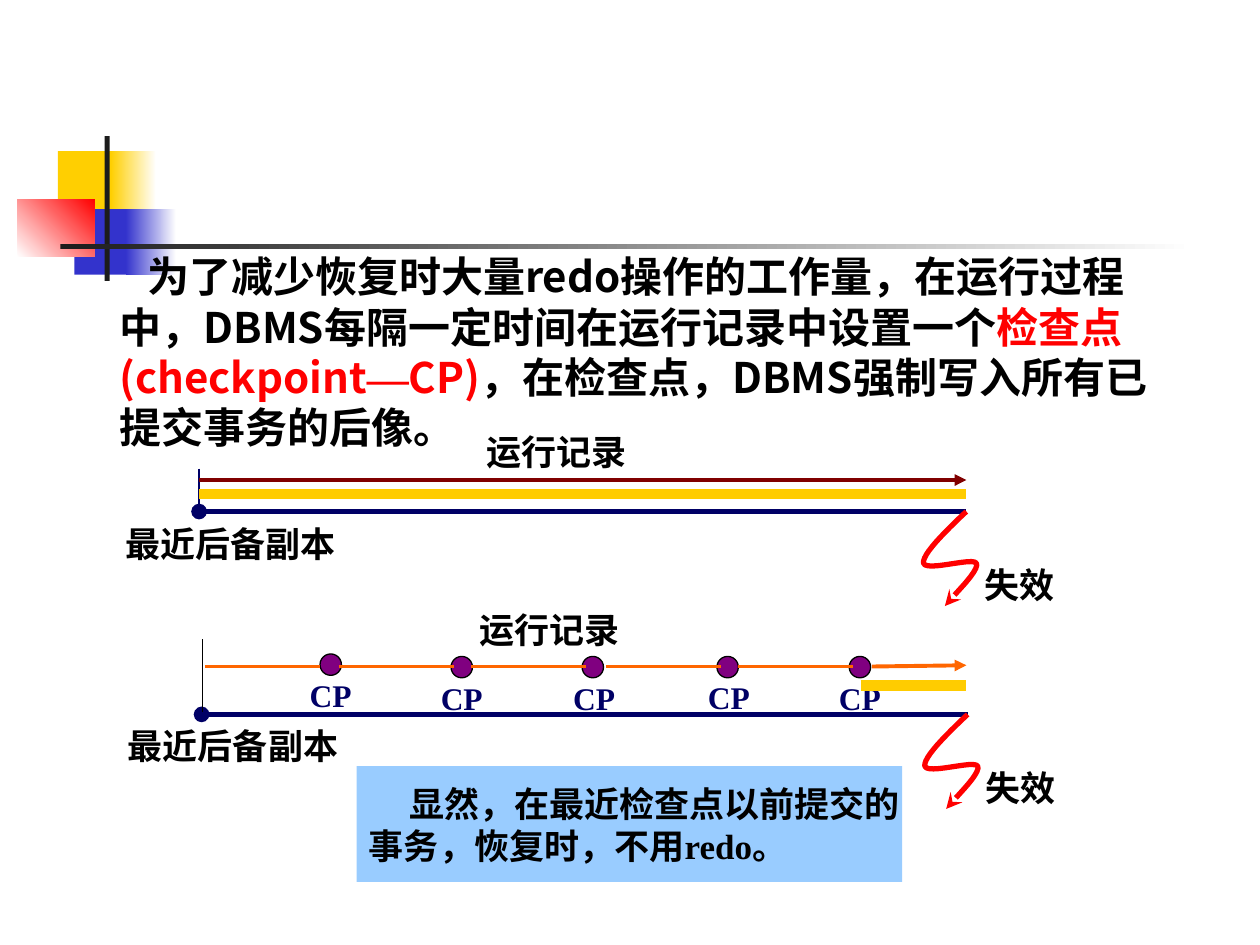
from typing import NamedTuple, Optional

from lxml import etree
from pptx import Presentation
from pptx import util as u
from pptx.enum import shapes, text
from pptx.dml.color import RGBColor
from pptx.oxml import ns

SCALE = 9144  # EMU in one px, 100 px to the inch
CJK, SERIF = "Noto Sans CJK SC", "Times New Roman"
COLORS = {
    "gold": "FFCF01", "blue": "3333CC", "red": "FF0000", "white": "FFFFFF",
    "ink": "1C1C1C", "black": "000000", "navy": "000066", "maroon": "800000",
    "purple": "800080", "orange": "FF6600", "yellow": "FFCC00", "sky": "99CCFF",
}


class Block(NamedTuple):
    box: tuple
    color: str
    fade: Optional[str] = None
    angle: int = 0


class Line(NamedTuple):
    start: tuple
    end: tuple
    color: str
    width: float
    head: Optional[str] = None
    tail: Optional[str] = None


class Run(NamedTuple):
    text: str
    size: int = 20
    color: str = "black"
    font: str = SERIF


class Checkpoint(NamedTuple):
    left: int
    top: int
    label_left: int
    label_top: int


def px(*values: float) -> list:
    return [u.Emu(round(value * SCALE)) for value in values]


def rgb(name: str) -> RGBColor:
    return RGBColor.from_string(COLORS[name])


def draw_block(block: Block, kind=shapes.MSO_SHAPE.RECTANGLE):
    shape = slide.shapes.add_shape(kind, *px(*block.box))
    shape.shadow.inherit = False
    shape.line.fill.background()
    if block.fade:
        shape.fill.gradient()
        shape.fill.gradient_angle = block.angle
        for stop, name in zip(shape.fill.gradient_stops, (block.color, block.fade)):
            stop.color.rgb = rgb(name)
    else:
        shape.fill.solid()
        shape.fill.fore_color.rgb = rgb(block.color)
    return shape


def style_line(shape, color: str, width: float, head=None, tail=None) -> None:
    shape.line.color.rgb = rgb(color)
    shape.line.width = u.Pt(width)
    outline = shape.line._get_or_add_ln()
    for tag, kind in (("a:headEnd", head), ("a:tailEnd", tail)):
        if kind:
            etree.SubElement(outline, ns.qn(tag), type=kind)


def draw_line(line: Line) -> None:
    connector = slide.shapes.add_connector(
        shapes.MSO_CONNECTOR.STRAIGHT, *px(*line.start, *line.end))
    style_line(connector, line.color, line.width, line.head, line.tail)
    etree.SubElement(connector._element.spPr, ns.qn("a:effectLst"))


def write(shape, paragraphs: list, wrap=False, align=text.PP_ALIGN.LEFT,
          anchor=text.MSO_ANCHOR.MIDDLE, indent: int = 0) -> None:
    frame = shape.text_frame
    frame.word_wrap, frame.vertical_anchor = wrap, anchor
    for index, runs in enumerate(paragraphs):
        paragraph = frame.add_paragraph() if index else frame.paragraphs[0]
        paragraph.alignment = align
        properties = paragraph._p.get_or_add_pPr()
        properties.set("hangingPunct", "0")
        if indent and not index:
            properties.set("marL", "0")
            properties.set("indent", str(indent * SCALE))
        for item in runs:
            run = paragraph.add_run()
            run.text = item.text
            values = {"size": u.Pt(item.size), "bold": True, "name": item.font}
            for name, value in values.items():
                setattr(run.font, name, value)
            run.font.color.rgb = rgb(item.color)
            etree.SubElement(run._r.get_or_add_rPr(), ns.qn("a:ea"), typeface=CJK)


def draw_label(words: str, left: int, top: int, width: int = 150) -> None:
    box = slide.shapes.add_textbox(*px(left, top, width, 50))
    write(box, [[Run(words)]], align=text.PP_ALIGN.CENTER)


def draw_failure(x: int, y: int) -> None:
    """Zigzag arrow from the end of a time line, with its label."""
    curves = [((0, 0), (-18, 17), (-35, 34), (-34, 41)),
              ((-34, 41), (-32, 48), (5, 36), (8, 41)),
              ((8, 41), (11, 47), (-13, 69), (-17, 75))]
    steps = 12
    points = []
    for curve in curves:
        for step in range(1, steps + 1):
            t = step / steps
            weights = ((1 - t) ** 3, 3 * t * (1 - t) ** 2, 3 * t * t * (1 - t), t ** 3)
            dx, dy = (sum(w * point[axis] for w, point in zip(weights, curve))
                      for axis in (0, 1))
            points.append(tuple(px(x + dx, y + dy)))
    builder = slide.shapes.build_freeform(*px(x, y), scale=1.0)
    builder.add_line_segments(points, close=False)
    zigzag = builder.convert_to_shape()
    zigzag.shadow.inherit = False
    zigzag.fill.background()
    style_line(zigzag, "red", 3, tail="stealth")
    draw_label("失效", x - 33, y + 33)


def draw_checkpoint(point: Checkpoint) -> None:
    dot = draw_block(Block((point.left, point.top, 17, 17), "purple"),
                     shapes.MSO_SHAPE.FLOWCHART_CONNECTOR)
    style_line(dot, "black", 0.75)
    box = slide.shapes.add_textbox(*px(point.label_left, point.label_top, 53, 40))
    write(box, [[Run("CP", 18, "navy")]], anchor=text.MSO_ANCHOR.TOP)


presentation = Presentation()
presentation.slide_width, presentation.slide_height = px(1000, 750)
slide = presentation.slides.add_slide(presentation.slide_layouts[6])

# Corner decoration
for block in [
    Block((46, 120, 48, 52), "gold"),
    Block((88, 120, 36, 52), "gold", "white"),
    Block((59, 166, 46, 52), "blue"),
    Block((100, 166, 40, 52), "blue", "white"),
    Block((14, 158, 61, 46), "white", "red", 45),
    Block((83, 108, 4, 115), "ink"),
    Block((48, 194, 900, 4), "ink", "white"),
]:
    draw_block(block)

# Introduction
introduction = slide.shapes.add_textbox(*px(85, 194, 867, 210))
write(introduction, [[
    Run("为了减少恢复时大量redo操作的工作量，在运行过程中，"
        "DBMS每隔一定时间在运行记录中设置一个", 24, "black", CJK),
    Run("检查点(checkpoint", 24, "red", CJK),
    Run("—", 24, "red"),
    Run("CP)", 24, "red", CJK),
    Run("，在检查点，DBMS强制写入所有已提交事务的后像。", 24, "black", CJK),
]], wrap=True, anchor=text.MSO_ANCHOR.TOP, indent=22)

# Time line without checkpoints
draw_line(Line((158, 406), (767, 406), "navy", 3, head="oval"))
draw_line(Line((158, 372), (158, 406), "navy", 0.75))
draw_label("最近后备副本", 83, 406, width=200)
draw_failure(767, 406)
draw_line(Line((158, 381), (767, 381), "maroon", 2.25, tail="triangle"))
draw_label("运行记录", 367, 333)

# Time line with checkpoints
draw_line(Line((160, 567), (768, 567), "navy", 3, head="oval"))
draw_label("最近后备副本", 85, 567, width=200)
for checkpoint in [
    Checkpoint(254, 519, 236, 532), Checkpoint(358, 521, 340, 534),
    Checkpoint(462, 521, 445, 534), Checkpoint(569, 521, 552, 533),
    Checkpoint(674, 521, 656, 534),
]:
    draw_checkpoint(checkpoint)
draw_label("运行记录", 361, 475)
draw_line(Line((161, 565), (161, 507), "black", 0.75))
for left in (163, 269, 374, 481, 586):
    draw_line(Line((left, 529), (left + 91, 529), "orange", 2.25))
draw_failure(768, 567)
draw_line(Line((692, 529), (767, 528), "orange", 2.25, tail="triangle"))

# Log ranges to redo
for left, y in ((683, 544), (158, 392)):
    draw_line(Line((left, y), (767, y), "yellow", 6))

# Conclusion
conclusion = draw_block(Block((283, 608, 433, 92), "sky"))
write(conclusion, [[Run("显然，在最近检查点以前提交的")],
                   [Run("事务，恢复时，不用redo。")]], indent=32)

presentation.save("out.pptx")
